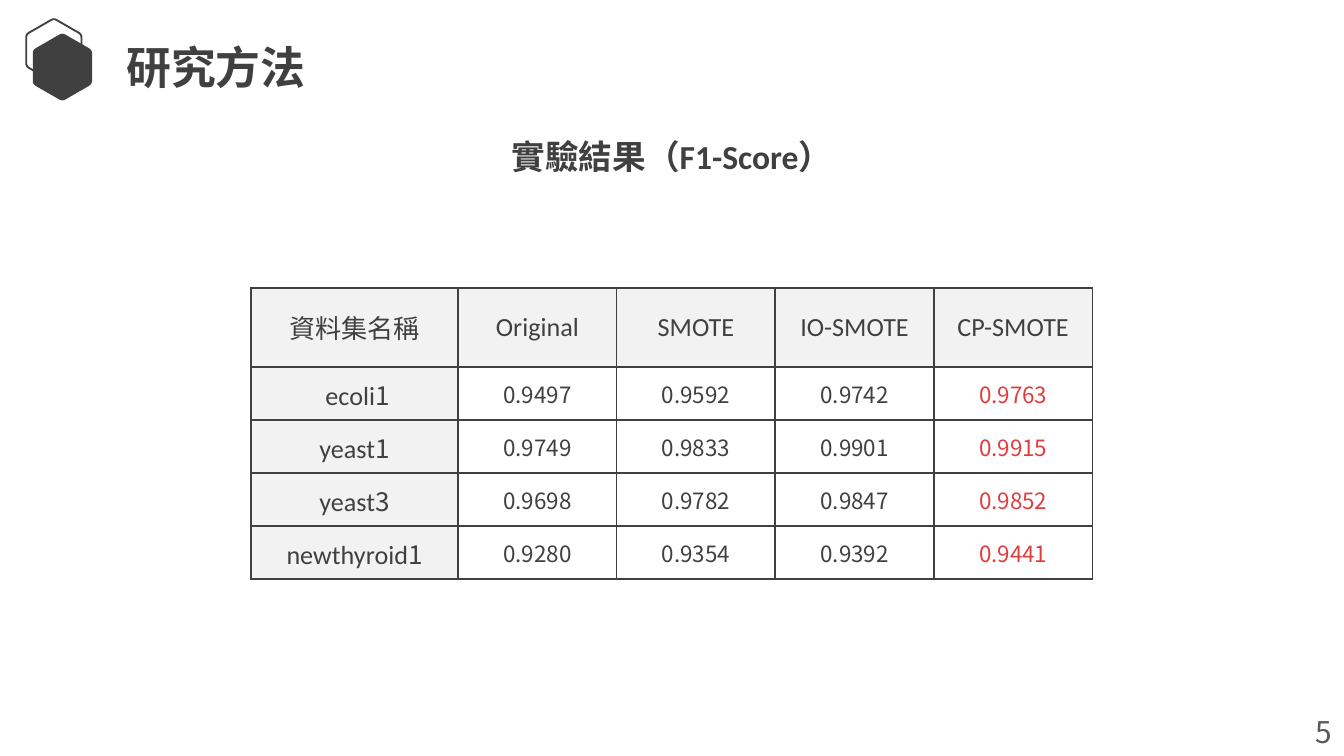
from itertools import product
from math import cos, pi, sin, sqrt
from lxml.etree import SubElement
from pptx import Presentation
from pptx.dml.color import RGBColor
from pptx.enum.text import MSO_ANCHOR, PP_ALIGN
from pptx.oxml import parse_xml
from pptx.oxml.ns import nsdecls, qn
from pptx.util import Inches, Pt

WIDE = 10
HIGH = WIDE * 9 / 16
DARK, GREY, PALE, RED = "404040", "595959", "F2F2F2", "E03E3E"
HAN, LATIN = "Noto Sans CJK JP", "Calibri"
HEADS = ["資料集名稱", "Original", "SMOTE", "IO-SMOTE", "CP-SMOTE"]
SCORES = [
    ((" ecoli", "1"), "0.9497", "0.9592", "0.9742", "0.9763"),
    (("yeast", "1"), "0.9749", "0.9833", "0.9901", "0.9915"),
    (("yeast", "3"), "0.9698", "0.9782", "0.9847", "0.9852"),
    (("newthyroid", "1"), "0.9280", "0.9354", "0.9392", "0.9441"),
]


def color(code):
    """Turn a hex string into a colour."""
    return RGBColor.from_string(code)


def area(left, top, width, height):
    """Turn percentages of the slide into lengths."""
    return [Inches(share * side / 100) for share, side in
            zip((left, top, width, height), (WIDE, HIGH, WIDE, HIGH))]


def place(shape, box):
    """Move a shape to a box."""
    shape.left, shape.top, shape.width, shape.height = box


def write(frame, parts, size, code=DARK, bold=False, align=PP_ALIGN.CENTER):
    """Fill a frame with one paragraph of (text, font) parts."""
    para = frame.paragraphs[0]
    para.alignment = align
    for text, face in parts:
        run = para.add_run()
        run.text = text
        font = run.font
        font.size, font.bold, font.name = Pt(size), bold, face
        font.color.rgb = color(code)
        SubElement(run._r.get_or_add_rPr(), qn("a:ea"), typeface=face)


def hexagon(slide, box, fill=None):
    """Draw an upright hexagon with softened corners in a box."""
    left, top, width, height = box
    radius = width / sqrt(3)
    mid, core = left + width / 2, top + height / 2
    tips = [(mid + radius * sin(i * pi / 3), core - radius * cos(i * pi / 3))
            for i in range(6)]
    points = []
    for i, tip in enumerate(tips):
        ends = [[a + 0.1 * (b - a) for a, b in zip(tip, tips[(i + step) % 6])]
                for step in (-1, 1)]
        for t in (0, 0.25, 0.5, 0.75, 1):
            points.append([(1 - t) ** 2 * a + 2 * t * (1 - t) * c + t * t * b
                           for a, c, b in zip(ends[0], tip, ends[1])])
    pen = slide.shapes.build_freeform(*points[0])
    pen.add_line_segments(points[1:], close=True)
    shape = pen.convert_to_shape()
    shape.shadow.inherit = False
    if fill:
        shape.fill.solid()
        shape.fill.fore_color.rgb = color(fill)
        shape.line.fill.background()
    else:
        shape.fill.background()
        shape.line.color.rgb = color(DARK)
        shape.line.width = Pt(1)


def emblem(slide, box):
    """Lay a solid hexagon over an outlined one in a box."""
    left, top, width, height = box
    hexagon(slide, (left, top, width * 0.84, height * 0.77))
    hexagon(slide, (left + width * 0.1, top + height * 0.18,
                    width * 0.9, height * 0.82), DARK)


def heading(slide, box, text):
    """Set the slide title in a box."""
    title = slide.shapes.title
    place(title, box)
    frame = title.text_frame
    frame.margin_left = frame.margin_right = Inches(0.07)
    frame.margin_top = frame.margin_bottom = Inches(0.04)
    frame.vertical_anchor = MSO_ANCHOR.TOP
    write(frame, [(text, HAN)], 24, bold=True, align=PP_ALIGN.LEFT)


def label(slide, box, parts, size, code=DARK, bold=False, wrap=True,
          align=PP_ALIGN.CENTER):
    """Add a text box."""
    frame = slide.shapes.add_textbox(*box).text_frame
    frame.word_wrap = wrap
    frame.vertical_anchor = MSO_ANCHOR.MIDDLE
    write(frame, parts, size, code, bold, align)


def frame_cell(cell):
    """Draw thin borders on all sides of a cell."""
    props = cell._tc.get_or_add_tcPr()
    for spot, side in enumerate(("lnL", "lnR", "lnT", "lnB")):
        props.insert(spot, parse_xml(
            f'<a:{side} {nsdecls("a")} w="{Pt(1)}"><a:solidFill>'
            f'<a:srgbClr val="{DARK}"/></a:solidFill></a:{side}>'))


def scores(slide, box):
    """Add the score table in a box."""
    left, top, width, height = box
    rows, cols = len(SCORES) + 1, len(HEADS)
    table = slide.shapes.add_table(rows, cols, *box).table
    table.first_row = table.horz_banding = False
    first, head = int(width * 0.246), int(height * 0.272)
    for i, col in enumerate(table.columns):
        col.width = (width - first) // (cols - 1) if i else first
    for i, row in enumerate(table.rows):
        row.height = (height - head) // (rows - 1) if i else head
    for r, c in product(range(rows), range(cols)):
        cell = table.cell(r, c)
        cell.vertical_anchor = MSO_ANCHOR.MIDDLE
        if r == 0:
            write(cell.text_frame, [(HEADS[c], LATIN if c else HAN)], 14)
        elif c == 0:
            write(cell.text_frame, zip(SCORES[r - 1][0], (LATIN, HAN)), 14)
        else:
            write(cell.text_frame, [(SCORES[r - 1][c], HAN)], 12,
                  RED if c == cols - 1 else DARK)
        if r == 0 or c == 0:
            cell.fill.solid()
            cell.fill.fore_color.rgb = color(PALE)
        else:
            cell.fill.background()
        frame_cell(cell)


def main():
    """Build the slide and save it."""
    deck = Presentation()
    deck.slide_width, deck.slide_height = Inches(WIDE), Inches(HIGH)
    slide = deck.slides.add_slide(deck.slide_layouts[5])
    emblem(slide, area(1.95, 2.5, 4.9, 10.8))
    heading(slide, area(8.7, 4.55, 35.4, 8.5), "研究方法")
    label(slide, area(96.9, 93.45, 3.1, 6.55), [("5", HAN)], 16, GREY,
          wrap=False, align=PP_ALIGN.LEFT)
    label(slide, area(20.65, 17.05, 58.7, 7.15),
          [("實驗結果（", HAN), ("F1-Score", LATIN), ("）", HAN)], 18, bold=True)
    scores(slide, area(18.69, 38.08, 62.6, 38.55))
    deck.save("out.pptx")


if __name__ == "__main__":
    main()
